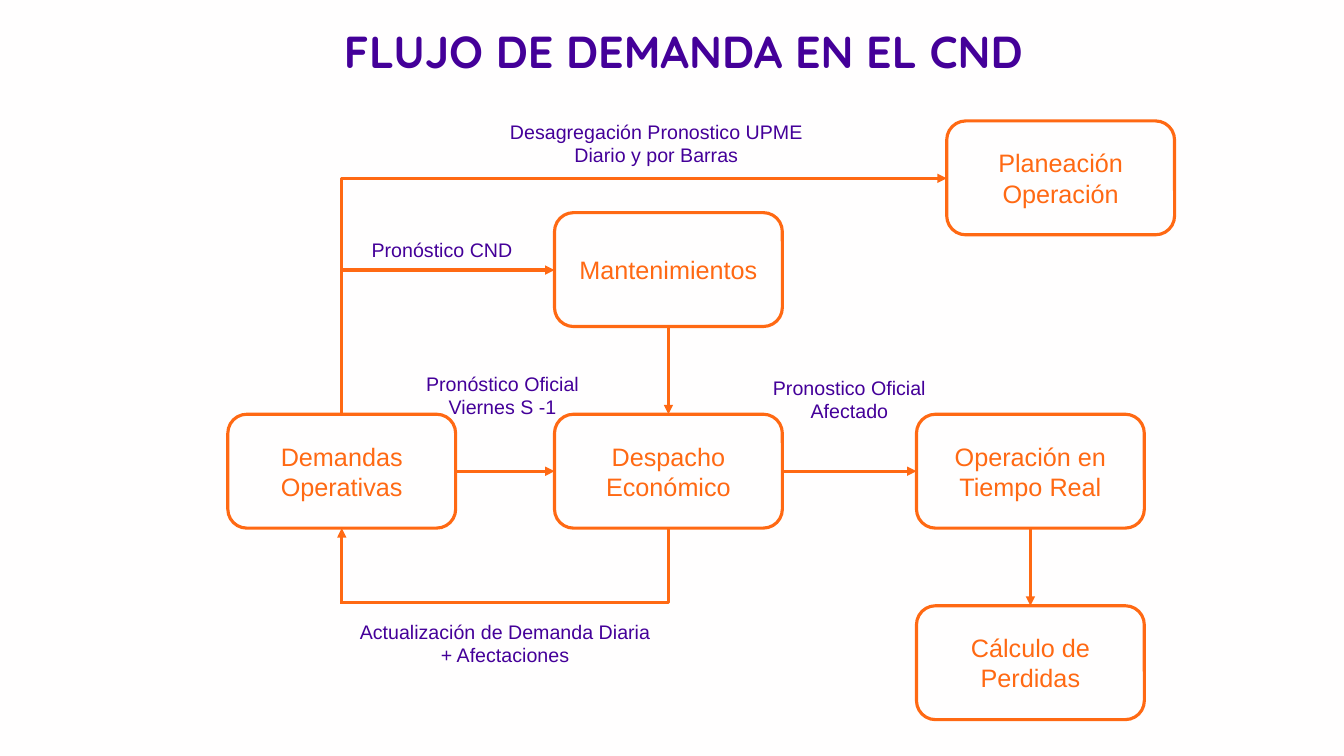
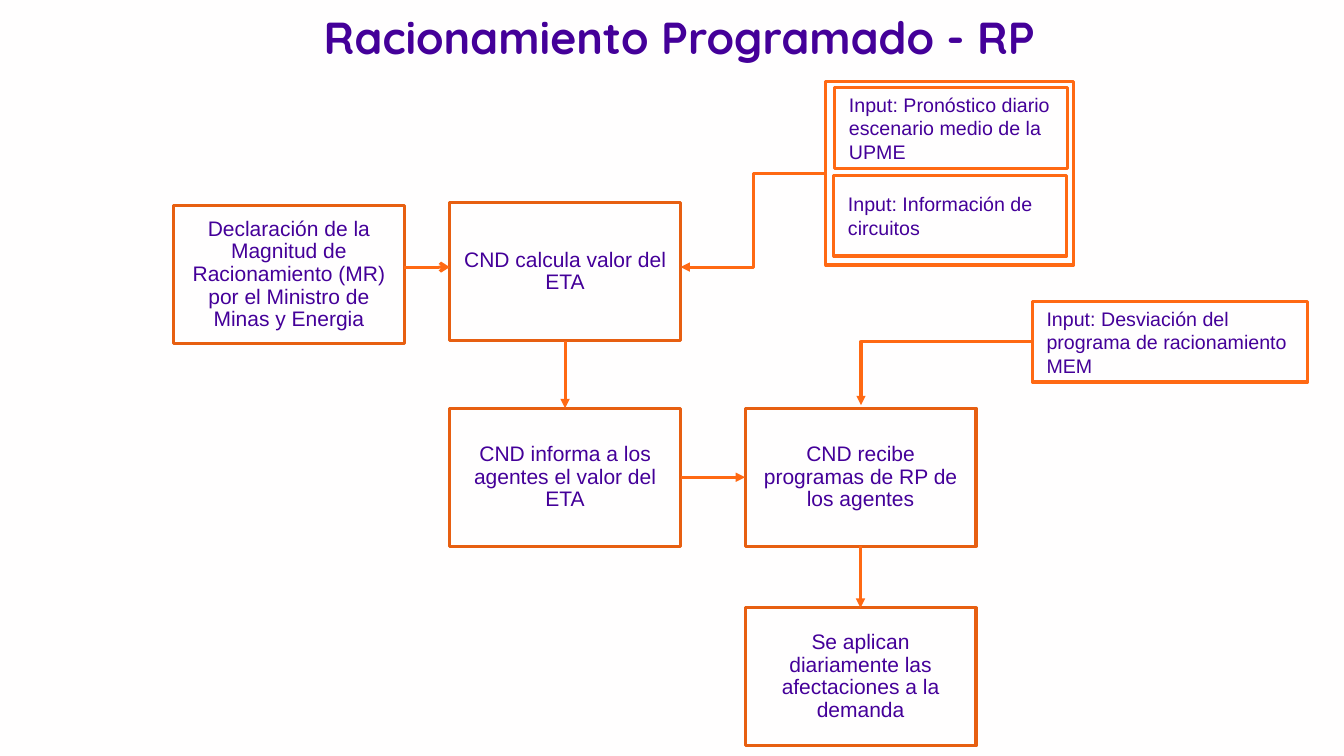
"""Build two flow-chart slides about electricity demand and programmed rationing."""
from dataclasses import dataclass
from typing import Optional

from lxml.etree import SubElement
from pptx import Presentation
from pptx.dml.color import RGBColor
from pptx.enum.shapes import MSO_CONNECTOR as Link, MSO_SHAPE as Shape
from pptx.enum.text import MSO_ANCHOR as Anchor, MSO_AUTO_SIZE as AutoSize, PP_ALIGN as Align
from pptx.oxml.ns import qn
from pptx.util import Inches, Pt

COLORS = {"paper": "FFFEFE", "purple": "440099", "orange": "FF6913", "rust": "E75F11"}
LINE_WIDTH = Pt(2.25)
TOP, LEFT, BOTTOM, RIGHT = range(4)


@dataclass(frozen=True)
class BoxStyle:
    shape: Shape
    line: str
    color: str
    size: int
    align: Align = Align.CENTER
    spacing: Optional[float] = None
    margins: tuple[float, float] = (0.1, 0.05)


@dataclass(frozen=True)
class Box:
    key: str
    left: float
    top: float
    width: float
    height: float
    style: BoxStyle
    text: str = ""


@dataclass(frozen=True)
class Label:
    left: float
    top: float
    width: float
    lines: tuple[str, ...]


@dataclass(frozen=True)
class Flow:
    source: str
    exit_side: int
    target: str
    entry_side: int


@dataclass(frozen=True)
class Route:
    start: tuple[float, float]
    end: tuple[float, float]
    bend: Optional[float] = None
    head: Optional[str] = "triangle"


STAGE = BoxStyle(Shape.ROUNDED_RECTANGLE, "orange", "orange", 18)
STEP = BoxStyle(Shape.RECTANGLE, "rust", "purple", 15, spacing=0.9, margins=(0.12, 0.12))
INPUT = BoxStyle(Shape.RECTANGLE, "orange", "purple", 14, Align.LEFT, margins=(0.14, 0.14))
STAGE_SIZE = (2.26, 1.13)
STEP_SIZE = (2.29, 1.37)
INPUT_SIZE = (2.31, 0.8)

DEMAND_BOXES = [
    Box("demandas", 2.26, 4.11, *STAGE_SIZE, STAGE, "Demandas Operativas"),
    Box("despacho", 5.5, 4.11, *STAGE_SIZE, STAGE, "Despacho Económico"),
    Box("operación", 9.09, 4.11, *STAGE_SIZE, STAGE, "Operación en Tiempo Real"),
    Box("pérdidas", 9.09, 6.01, *STAGE_SIZE, STAGE, "Cálculo de Perdidas"),
    Box("planeación", 9.39, 1.2, *STAGE_SIZE, STAGE, "Planeación Operación"),
    Box("mantenimientos", 5.5, 2.11, *STAGE_SIZE, STAGE, "Mantenimientos"),
]
DEMAND_FLOWS = [
    Flow("demandas", RIGHT, "despacho", LEFT),
    Flow("despacho", RIGHT, "operación", LEFT),
    Flow("operación", BOTTOM, "pérdidas", TOP),
    Flow("mantenimientos", BOTTOM, "despacho", TOP),
]
DEMAND_ROUTES = [
    Route((3.39, 4.11), (9.39, 1.77), bend=0),
    Route((3.39, 4.11), (5.5, 2.68), bend=0),
    Route((6.63, 5.24), (3.39, 5.98), bend=0, head=None),
    Route((3.39, 5.99), (3.39, 5.24)),
]
DEMAND_LABELS = [
    Label(4.12, 3.64, 1.73, ("Pronóstico Oficial", "Viernes S -1")),
    Label(3.46, 6.1, 3.1, ("Actualización de Demanda Diaria", "+ Afectaciones")),
    Label(4.95, 1.14, 3.12, ("Desagregación Pronostico UPME", "Diario y por Barras")),
    Label(7.56, 3.68, 1.73, ("Pronostico Oficial", "Afectado")),
    Label(3.58, 2.31, 1.61, ("Pronóstico CND",)),
]

RATIONING_BOXES = [
    Box("declaración", 1.72, 2.04, *STEP_SIZE, STEP,
        "Declaración de la Magnitud de Racionamiento (MR) por el Ministro de Minas y Energia"),
    Box("cálculo", 4.46, 2.01, *STEP_SIZE, STEP, "CND calcula valor del ETA"),
    Box("informe", 4.46, 4.05, *STEP_SIZE, STEP, "CND informa a los agentes el valor del ETA"),
    Box("programas", 7.39, 4.05, *STEP_SIZE, STEP, "CND recibe programas de RP de los agentes"),
    Box("aplicación", 7.39, 6.03, *STEP_SIZE, STEP,
        "Se aplican diariamente las afectaciones a la demanda"),
    Box("marco", 8.19, 0.81, 2.46, 1.82, INPUT),
    Box("pronóstico", 8.28, 0.87, *INPUT_SIZE, INPUT,
        "Input: Pronóstico diario escenario medio de la UPME"),
    Box("circuitos", 8.27, 1.74, *INPUT_SIZE, INPUT, "Input: Información de circuitos"),
    Box("desviación", 10.24, 2.99, 2.73, 0.8, INPUT,
        "Input: Desviación del programa de racionamiento MEM"),
]
RATIONING_FLOWS = [
    Flow("informe", RIGHT, "programas", LEFT),
    Flow("cálculo", BOTTOM, "informe", TOP),
    Flow("programas", BOTTOM, "aplicación", TOP),
]
RATIONING_ROUTES = [
    Route((4.01, 2.65), (4.46, 2.65), head="arrow"),
    Route((8.19, 1.72), (6.75, 2.65), bend=0.5),
    Route((10.24, 3.39), (8.54, 4.02), bend=1),
]


def rgb(name: str) -> RGBColor:
    return RGBColor.from_string(COLORS[name])


def write(para, text: str, *, size: int, color: str, font: str = "Arial", bold: bool = False,
          align: Align = Align.CENTER, spacing: Optional[float] = None) -> None:
    para.alignment = align
    para.line_spacing = spacing
    span = para.add_run()
    span.text = text
    span.font.name = font
    span.font.size = Pt(size)
    span.font.bold = bold
    span.font.color.rgb = rgb(color)


def add_page(deck, title: str, area: tuple[float, ...], align: Align, spacing: float):
    page = deck.slides.add_slide(deck.slide_layouts[5])
    box = page.shapes.title
    box.left, box.top, box.width, box.height = map(Inches, area)
    frame = box.text_frame
    frame.word_wrap = True
    frame.auto_size = AutoSize.NONE
    frame.vertical_anchor = Anchor.TOP
    write(frame.paragraphs[0], title, size=32, color="purple", font="Quicksand",
          bold=True, align=align, spacing=spacing)
    return page


def add_box(page, item: Box):
    style = item.style
    box = page.shapes.add_shape(style.shape, Inches(item.left), Inches(item.top),
                                Inches(item.width), Inches(item.height))
    box.shadow.inherit = False
    box.fill.solid()
    box.fill.fore_color.rgb = rgb("paper")
    box.line.color.rgb = rgb(style.line)
    box.line.width = LINE_WIDTH
    if item.text:
        frame = box.text_frame
        frame.word_wrap = True
        frame.vertical_anchor = Anchor.MIDDLE
        frame.margin_left = frame.margin_right = Inches(style.margins[0])
        frame.margin_top = frame.margin_bottom = Inches(style.margins[1])
        write(frame.paragraphs[0], item.text, size=style.size, color=style.color,
              align=style.align, spacing=style.spacing)
    return box


def add_label(page, label: Label) -> None:
    height = 0.1 + 0.235 * len(label.lines)
    box = page.shapes.add_textbox(Inches(label.left), Inches(label.top),
                                  Inches(label.width), Inches(height))
    frame = box.text_frame
    frame.word_wrap = False
    frame.auto_size = AutoSize.SHAPE_TO_FIT_TEXT
    for index, text in enumerate(label.lines):
        para = frame.add_paragraph() if index else frame.paragraphs[0]
        write(para, text, size=14, color="purple")


def add_route(page, route: Route):
    kind = Link.STRAIGHT if route.bend is None else Link.ELBOW
    connector = page.shapes.add_connector(kind, *map(Inches, route.start + route.end))
    connector.line.color.rgb = rgb("orange")
    connector.line.width = LINE_WIDTH
    properties = connector.element.spPr
    if route.head:
        SubElement(properties.find(qn("a:ln")), qn("a:tailEnd"), type=route.head)
    SubElement(properties, qn("a:effectLst"))
    if route.bend is not None:
        guides = properties.find(qn("a:prstGeom")).find(qn("a:avLst"))
        SubElement(guides, qn("a:gd"), name="adj1", fmla=f"val {round(route.bend * 100000)}")
    return connector


def draw_chart(page, boxes: list[Box], flows: list[Flow], routes: list[Route]) -> None:
    shapes = {item.key: add_box(page, item) for item in boxes}
    for flow in flows:
        connector = add_route(page, Route((0, 0), (1, 1)))
        connector.begin_connect(shapes[flow.source], flow.exit_side)
        connector.end_connect(shapes[flow.target], flow.entry_side)
    for route in routes:
        add_route(page, route)


def main() -> None:
    deck = Presentation()
    deck.slide_width, deck.slide_height = Inches(13.33), Inches(7.5)
    backdrop = deck.slide_master.background.fill
    backdrop.solid()
    backdrop.fore_color.rgb = rgb("paper")

    demand = add_page(deck, "FLUJO DE DEMANDA EN EL CND", (1.51, 0.25, 10.54, 1.04),
                      Align.CENTER, 0.9)
    draw_chart(demand, DEMAND_BOXES, DEMAND_FLOWS, DEMAND_ROUTES)
    for label in DEMAND_LABELS:
        add_label(demand, label)

    rationing = add_page(deck, "Racionamiento Programado - RP", (3.11, 0.05, 7.64, 0.64),
                         Align.LEFT, 1.0)
    draw_chart(rationing, RATIONING_BOXES, RATIONING_FLOWS, RATIONING_ROUTES)
    deck.save("out.pptx")


if __name__ == "__main__":
    main()
